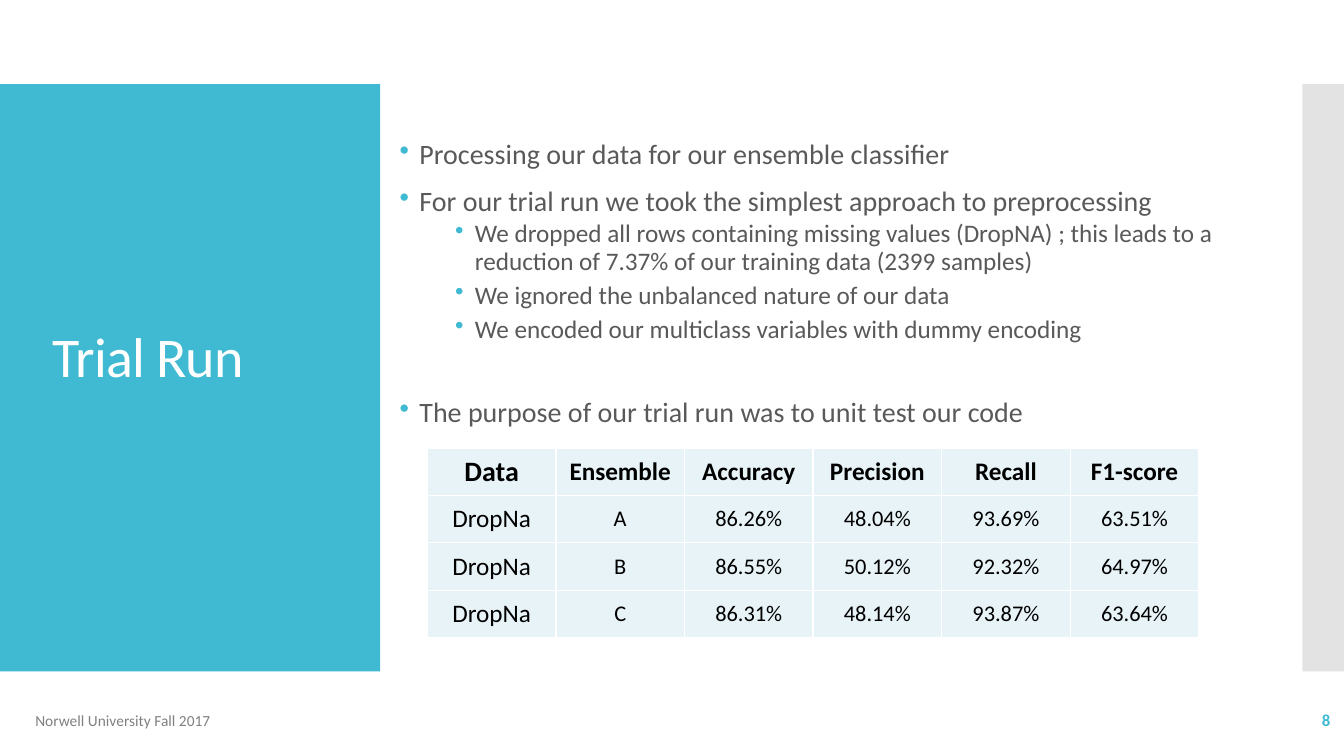
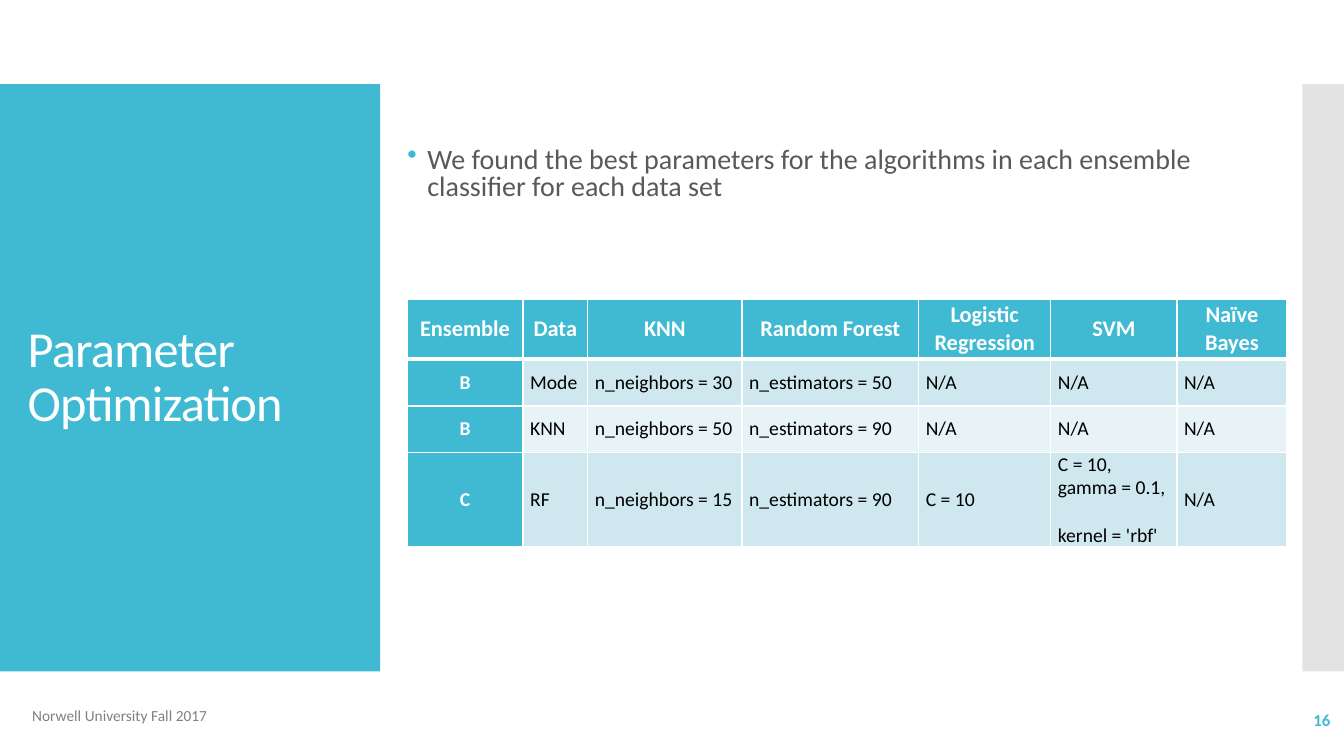
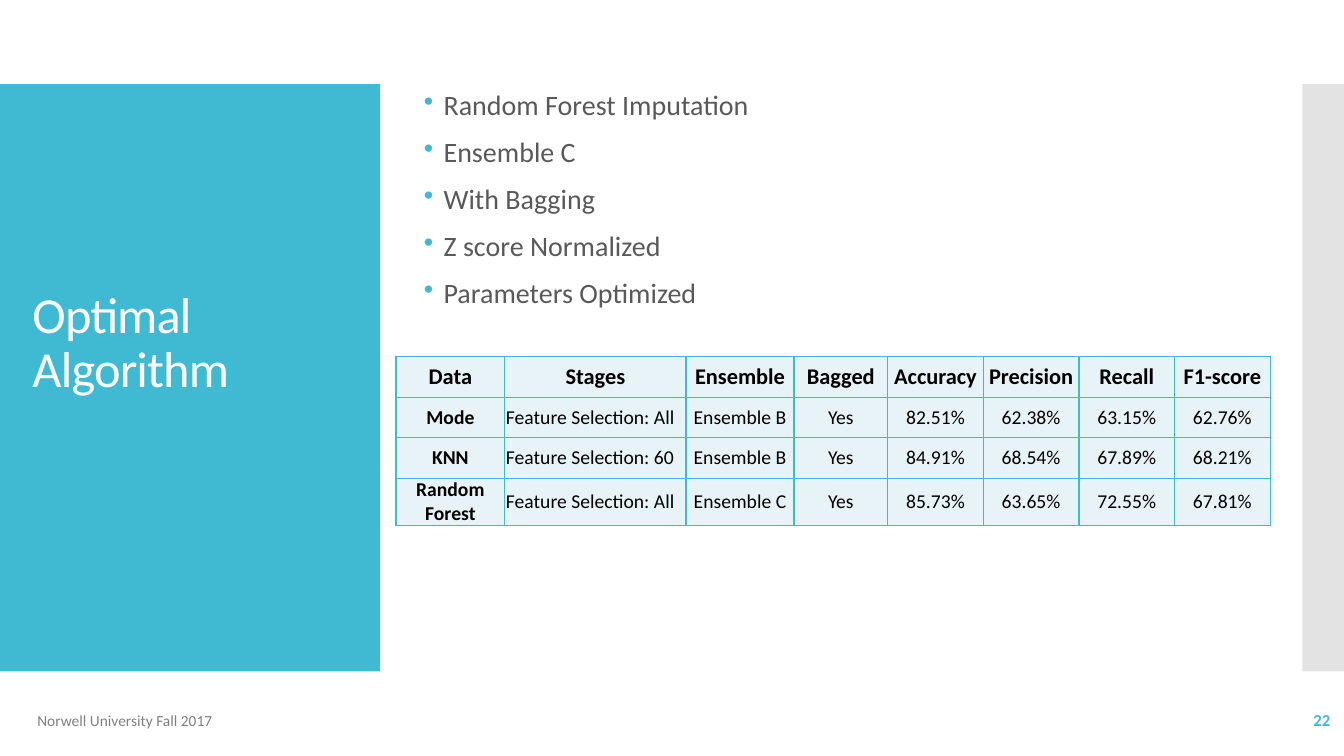
from lxml.etree import SubElement
from pptx import Presentation
from pptx.dml.color import RGBColor
from pptx.enum.shapes import MSO_SHAPE as Shape
from pptx.enum.text import MSO_ANCHOR as Anchor, PP_ALIGN as Align
from pptx.oxml.ns import qn
from pptx.util import Cm, Pt

TEAL, WHITE, BLACK = "40BAD2", "FFFFFF", "000000"
PALE, LIGHT = "E8F3F7", "CFE7EE"
BODY_GREY, FOOTER_GREY, STRIP_GREY = "595959", "808080", "C8C8C8"
FONT = "Calibri"
FOOTER = "Norwell University Fall 2017"


def rgb(value):
    return RGBColor.from_string(value)


class Deck:
    """Holds the shared style and the slide being built."""

    def __init__(self):
        self.presentation = Presentation()
        self.presentation.slide_width = Cm(33.87)
        self.presentation.slide_height = Cm(19.05)
        self.slide = None

    def start(self, title, number, title_left, title_middle, title_size=36,
              footer_left=0.64, footer_top=17.65):
        """Add a slide with its bands, title, footer and number."""
        self.slide = self.presentation.slides.add_slide(self.presentation.slide_layouts[6])
        self.band(0, 9.58, TEAL)
        self.band(32.82, 1.05, STRIP_GREY, opacity=50)
        frame = self.text_box(title_left, title_middle - 2.5, 7.5, 5, Anchor.MIDDLE)
        paragraph = self.set_text(frame.paragraphs[0], title, title_size, WHITE)
        paragraph.line_spacing = 0.9
        paragraph.font._rPr.set("spc", "-60")
        frame = self.text_box(footer_left + 0.25, footer_top, 8, 1, Anchor.MIDDLE)
        self.set_text(frame.paragraphs[0], FOOTER, 11, FOOTER_GREY)
        frame = self.text_box(29.53, 17.65, 4, 1, Anchor.MIDDLE)
        self.set_text(frame.paragraphs[0], number, 12, TEAL, True, Align.RIGHT)

    def band(self, left, width, color, opacity=100):
        shape = self.slide.shapes.add_shape(
            Shape.RECTANGLE, Cm(left), Cm(2.12), Cm(width), Cm(14.8))
        shape.shadow.inherit = False
        shape.line.fill.background()
        shape.fill.solid()
        shape.fill.fore_color.rgb = rgb(color)
        if opacity < 100:
            color_node = shape._element.spPr.find(".//" + qn("a:srgbClr"))
            SubElement(color_node, qn("a:alpha"), val=str(opacity * 1000))

    def text_box(self, left, top, width, height, anchor=Anchor.TOP):
        frame = self.slide.shapes.add_textbox(
            Cm(left), Cm(top), Cm(width), Cm(height)).text_frame
        frame.word_wrap = True
        frame.vertical_anchor = anchor
        frame.margin_left = frame.margin_right = frame.margin_top = frame.margin_bottom = 0
        return frame

    def set_text(self, paragraph, text, size, color, bold=False, align=Align.LEFT):
        paragraph.text = text
        paragraph.alignment = align
        font = paragraph.font
        font.name, font.size, font.bold = FONT, Pt(size), bold
        font.color.rgb = rgb(color)
        return paragraph

    def bullets(self, left, top, width, height, items, line_spacing=0.9):
        """Items are (text, level, space before in points)."""
        frame = self.text_box(left, top, width, height)
        for index, (text, level, before) in enumerate(items):
            paragraph = frame.add_paragraph() if index else frame.paragraphs[0]
            self.set_text(paragraph, text, 18 if level else 20, BODY_GREY)
            paragraph.level = level
            paragraph.line_spacing = line_spacing
            paragraph.space_before = Pt(before)
            paragraph.space_after = Pt(2.5 if level else 0)
            properties = paragraph._p.get_or_add_pPr()
            properties.set("marL", str(Cm(1.9 if level else 0.5)))
            properties.set("indent", str(Cm(-0.5)))
            # Bullet nodes stand before the default run properties
            defaults = properties.find(qn("a:defRPr"))
            bullet_color = SubElement(properties, qn("a:buClr"))
            SubElement(bullet_color, qn("a:srgbClr"), val=TEAL)
            bullet = SubElement(properties, qn("a:buChar"), char="•")
            defaults.addprevious(bullet_color)
            defaults.addprevious(bullet)

    def border(self, cell, side, color, points):
        line = SubElement(cell._tc.get_or_add_tcPr(), qn("a:ln" + side), w=str(Pt(points)))
        SubElement(SubElement(line, qn("a:solidFill")), qn("a:srgbClr"), val=color)

    def table(self, left, top, columns, heights, rows, style, line_color,
              side_margin=0.03, header_rule=1):
        """style(row, column) gives fill, size, color, bold and alignment."""
        table = self.slide.shapes.add_table(
            len(rows), len(columns), Cm(left), Cm(top),
            Cm(sum(columns)), Cm(sum(heights))).table
        table.first_row = table.horz_banding = False
        for column, width in zip(table.columns, columns):
            column.width = Cm(width)
        for row, height in zip(table.rows, heights):
            row.height = Cm(height)
        for r, values in enumerate(rows):
            for c, text in enumerate(values):
                cell = table.cell(r, c)
                fill, size, color, bold, align = style(r, c)
                cell.margin_left = cell.margin_right = Cm(side_margin)
                cell.margin_top = cell.margin_bottom = 0
                cell.vertical_anchor = Anchor.MIDDLE
                for side in "LRTB":
                    thick = (r, side) in ((0, "B"), (1, "T"))
                    self.border(cell, side, line_color, header_rule if thick else 1)
                cell.fill.solid()
                cell.fill.fore_color.rgb = rgb(fill)
                self.set_text(cell.text_frame.paragraphs[0], text, size, color, bold, align)
        return table


# Table styles
def trial_style(row, column):
    size = (18 if row else 20) if column == 0 else (16 if row else 18)
    return PALE, size, BLACK, row == 0, Align.CENTER


def parameter_style(row, column):
    if row == 0 or column == 0:
        return TEAL, 14 if row else 16, WHITE, True, Align.CENTER
    return LIGHT if row % 2 else PALE, 14, BLACK, False, Align.LEFT


def optimal_style(row, column):
    align = Align.LEFT if row and column == 1 else Align.CENTER
    return PALE, 14 if row else 16, BLACK, row == 0 or column == 0, align


# Slides
def trial_run(deck):
    deck.start("Trial Run", "8", 1.33, 9.05, title_size=40)
    deck.bullets(10.07, 3.54, 21.46, 8, [
        ("Processing our data for our ensemble classifier", 0, 12),
        ("For our trial run we took the simplest approach to preprocessing", 0, 12),
        ("We dropped all rows containing missing values (DropNA) ; this leads to a "
         "reduction of 7.37% of our training data (2399 samples)", 1, 2.5),
        ("We ignored the unbalanced nature of our data", 1, 2.5),
        ("We encoded our multiclass variables with dummy encoding", 1, 2.5),
        ("The purpose of our trial run was to unit test our code", 0, 36),
    ])
    deck.table(10.77, 11.3, [3.24] * 6, [1.19] * 4, [
        ["Data", "Ensemble", "Accuracy", "Precision", "Recall", "F1-score"],
        ["DropNa", "A", "86.26%", "48.04%", "93.69%", "63.51%"],
        ["DropNa", "B", "86.55%", "50.12%", "92.32%", "64.97%"],
        ["DropNa", "C", "86.31%", "48.14%", "93.87%", "63.64%"],
    ], trial_style, WHITE)


def parameter_optimization(deck):
    deck.start("Parameter Optimization", "16", 0.7, 9.53, footer_left=0.56, footer_top=17.53)
    deck.bullets(10.27, 3.72, 22.17, 1.6, [
        ("We found the best parameters for the algorithms in each ensemble "
         "classifier for each data set", 0, 12),
    ], line_spacing=0.8)
    table = deck.table(
        10.26, 7.54, [2.92, 1.63, 3.89, 4.45, 3.33, 3.18, 2.77], [1.5, 1.19, 1.17, 2.36], [
            ["Ensemble", "Data", "KNN", "Random Forest", "Logistic Regression", "SVM",
             "Naïve Bayes"],
            ["B", "Mode", "n_neighbors = 30", "n_estimators = 50", "N/A", "N/A", "N/A"],
            ["B", "KNN", "n_neighbors = 50", "n_estimators = 90", "N/A", "N/A", "N/A"],
            ["C", "RF", "n_neighbors = 15", "n_estimators = 90", "C = 10", "C = 10,", "N/A"],
        ], parameter_style, WHITE, side_margin=0.18, header_rule=3)
    # Further SVM settings, the kernel set apart by one line
    svm_frame = table.cell(3, 5).text_frame
    for text, before in (("gamma = 0.1,", 0), ("kernel = 'rbf'", 17)):
        paragraph = deck.set_text(svm_frame.add_paragraph(), text, 14, BLACK)
        paragraph.space_before = Pt(before)


def optimal_algorithm(deck):
    deck.start("Optimal Algorithm", "22", 0.82, 8.67, footer_left=0.69)
    deck.bullets(10.68, 2.31, 20.4, 6, [
        (text, 0, 12) for text in (
            "Random Forest Imputation", "Ensemble C", "With Bagging",
            "Z score Normalized", "Parameters Optimized")
    ])
    deck.table(9.98, 8.99, [2.74, 4.57, 2.72, 2.36] + [2.41] * 4, [1.02] * 4, [
        ["Data", "Stages", "Ensemble", "Bagged", "Accuracy", "Precision", "Recall", "F1-score"],
        ["Mode", "Feature Selection: All", "Ensemble B", "Yes",
         "82.51%", "62.38%", "63.15%", "62.76%"],
        ["KNN", "Feature Selection: 60", "Ensemble B", "Yes",
         "84.91%", "68.54%", "67.89%", "68.21%"],
        ["Random Forest", "Feature Selection: All", "Ensemble C", "Yes",
         "85.73%", "63.65%", "72.55%", "67.81%"],
    ], optimal_style, TEAL)


def main():
    deck = Deck()
    trial_run(deck)
    parameter_optimization(deck)
    optimal_algorithm(deck)
    deck.presentation.save("out.pptx")


if __name__ == "__main__":
    main()
